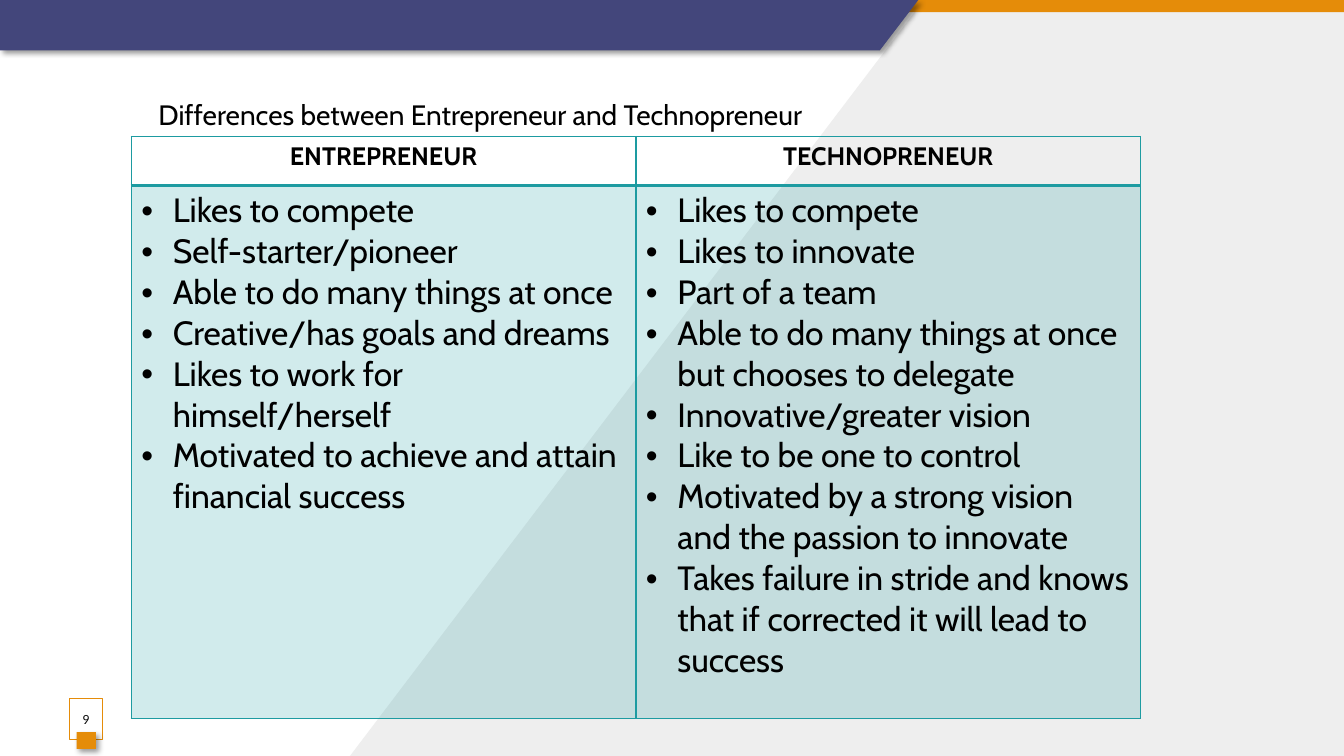
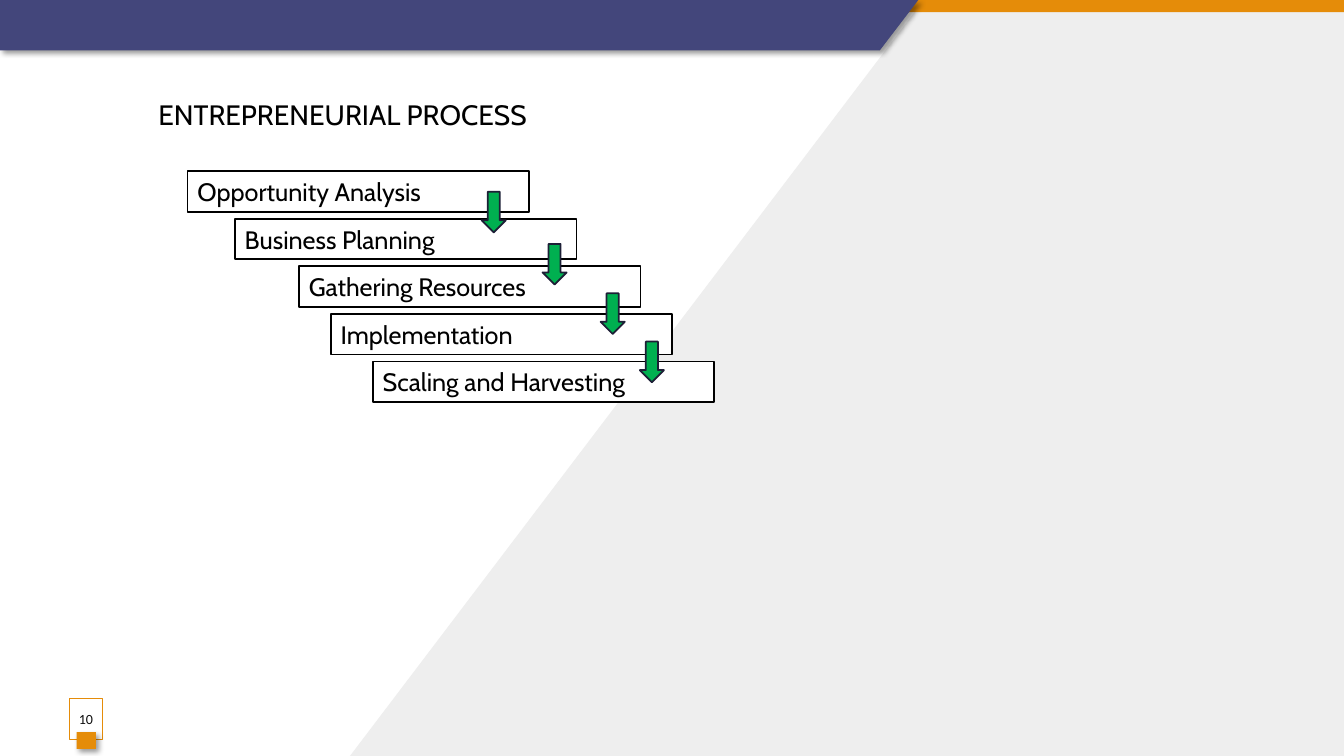
from dataclasses import dataclass

from lxml import etree
from pptx import Presentation
from pptx.dml.color import RGBColor
from pptx.enum.shapes import MSO_SHAPE
from pptx.enum.text import MSO_ANCHOR, PP_ALIGN
from pptx.oxml.ns import qn
from pptx.util import Pt

RECTANGLE, DOWN_ARROW = MSO_SHAPE.RECTANGLE, MSO_SHAPE.DOWN_ARROW
LEFT, CENTER = PP_ALIGN.LEFT, PP_ALIGN.CENTER
MIDDLE = MSO_ANCHOR.MIDDLE


@dataclass(frozen=True)
class Theme:
    white: str = "FFFFFF"
    black: str = "000000"
    panel: str = "EEEEEE"
    accent: str = "E58C09"
    band: str = "43467B"
    teal: str = "1D9BA1"
    arrow: str = "00B050"
    arrow_edge: str = "1D1F36"
    number: str = "0D0D0D"
    font: str = "Cabin"
    number_font: str = "Calibri"
    title_size: float = 20
    label_size: float = 18
    list_size: float = 24
    number_size: float = 10


THEME = Theme()
WIDTH, HEIGHT = 960, 540
PANEL = [(656, 0), (WIDTH, 0), (WIDTH, HEIGHT), (250, HEIGHT), (656, 5)]
BAND = [(0, 0), (656, 0), (628.5, 36), (0, 36)]

COMPARISON_TITLE = "Differences between Entrepreneur and Technopreneur"
COMPARISON = {
    "ENTREPRENEUR": [
        "Likes to compete",
        "Self-starter/pioneer",
        "Able to do many things at once",
        "Creative/has goals and dreams",
        "Likes to work for himself/herself",
        "Motivated to achieve and attain financial success",
    ],
    "TECHNOPRENEUR": [
        "Likes to compete",
        "Likes to innovate",
        "Part of a team",
        "Able to do many things at once but chooses to delegate",
        "Innovative/greater vision",
        "Like to be one to control",
        "Motivated by a strong vision and the passion to innovate",
        "Takes failure in stride and knows that if corrected it will lead to success",
    ],
}
TABLE_LEFT, TABLE_TOP, COLUMN_WIDTH = 93.75, 97.5, 360.5
ROW_HEIGHTS = (35, 381)

PROCESS_TITLE = "ENTREPRENEURIAL PROCESS"
STEPS = [
    ("Opportunity Analysis", 134),
    ("Business Planning", 167.75),
    ("Gathering Resources", 213.5),
    ("Implementation", 236.25),
    ("Scaling and Harvesting", 266.25),
]
STEP_TOP, STEP_PITCH, STEP_SIZE = 122.25, 34, (244, 29)
ARROWS = [(344, 137), (387.5, 174.25), (429, 209.5), (457, 244)]
ARROW_SIZE = (17.25, 29)


def color(value):
    return RGBColor.from_string(value)


def set_alpha(parent, percent):
    value = parent.find(qn("a:solidFill")).find(qn("a:srgbClr"))
    etree.SubElement(value, qn("a:alpha"), val=str(percent * 1000))


def add_shadow(shape):
    effects = shape.element.spPr.find(qn("a:effectLst"))
    outer = etree.SubElement(
        effects, qn("a:outerShdw"), blurRad=str(Pt(4)), dist=str(Pt(3)),
        dir=str(45 * 60000), algn="tl", rotWithShape="0",
    )
    value = etree.SubElement(outer, qn("a:srgbClr"), val=THEME.black)
    etree.SubElement(value, qn("a:alpha"), val="40000")


def paint(shape, fill, line=None, weight=1.25):
    shape.shadow.inherit = False
    shape.fill.solid()
    shape.fill.fore_color.rgb = color(fill)
    if line:
        shape.line.color.rgb = color(line)
        shape.line.width = Pt(weight)
    else:
        shape.line.fill.background()
    return shape


def add_block(slide, kind, place, fill, line=None, weight=1.25):
    shape = slide.shapes.add_shape(kind, *(Pt(value) for value in place))
    return paint(shape, fill, line, weight)


def add_outline(slide, points, fill):
    corners = [(Pt(x), Pt(y)) for x, y in points]
    builder = slide.shapes.build_freeform(*corners[0])
    builder.add_line_segments(corners[1:], close=True)
    return paint(builder.convert_to_shape(), fill)


def write(para, text, size, align=LEFT, bold=False, font=THEME.font, ink=THEME.black):
    para.text = text
    para.alignment = align
    para.font.name = font
    para.font.size = Pt(size)
    para.font.bold = bold
    para.font.color.rgb = color(ink)


def add_bullet(para):
    properties = para._p.get_or_add_pPr()
    properties.set("marL", str(Pt(22.5)))
    properties.set("indent", str(Pt(-22.5)))
    etree.SubElement(properties, qn("a:buFont"), typeface="Arial")
    etree.SubElement(properties, qn("a:buChar"), char="•")


def add_borders(cell, top=1, bottom=1):
    properties = cell._tc.get_or_add_tcPr()
    for side, weight in (("L", 1), ("R", 1), ("T", top), ("B", bottom)):
        line = etree.SubElement(properties, qn(f"a:ln{side}"), w=str(Pt(weight)))
        fill = etree.SubElement(line, qn("a:solidFill"))
        etree.SubElement(fill, qn("a:srgbClr"), val=THEME.teal)


def add_slide(deck, title, number):
    slide = deck.slides.add_slide(deck.slide_layouts[6])
    add_outline(slide, PANEL, THEME.panel)
    add_block(slide, RECTANGLE, (0, 0, WIDTH, 8.75), THEME.accent)
    add_shadow(add_outline(slide, BAND, THEME.band))

    badge = add_block(slide, RECTANGLE, (49.5, 499, 23.75, 29), THEME.white, THEME.accent, 0.75)
    set_alpha(badge.element.spPr, 82)
    frame = badge.text_frame
    frame.margin_left = frame.margin_right = 0
    frame.vertical_anchor = MIDDLE
    write(frame.paragraphs[0], str(number), THEME.number_size, CENTER,
          font=THEME.number_font, ink=THEME.number)
    add_shadow(add_block(slide, RECTANGLE, (54.75, 523, 13.75, 12), THEME.accent))

    box = slide.shapes.add_textbox(Pt(106), Pt(66.25), Pt(680), Pt(31.5))
    box.text_frame.word_wrap = True
    write(box.text_frame.paragraphs[0], title, THEME.title_size)
    return slide


def add_comparison(slide):
    table = slide.shapes.add_table(
        2, len(COMPARISON), Pt(TABLE_LEFT), Pt(TABLE_TOP),
        Pt(COLUMN_WIDTH * len(COMPARISON)), Pt(sum(ROW_HEIGHTS)),
    ).table
    table.first_row = table.horz_banding = False
    for row, height in zip(table.rows, ROW_HEIGHTS):
        row.height = Pt(height)
    for index, (heading, traits) in enumerate(COMPARISON.items()):
        table.columns[index].width = Pt(COLUMN_WIDTH)
        header, body = table.cell(0, index), table.cell(1, index)
        add_borders(header, bottom=2)
        header.fill.background()
        write(header.text_frame.paragraphs[0], heading, THEME.label_size, CENTER, bold=True)

        add_borders(body, top=2)
        body.fill.solid()
        body.fill.fore_color.rgb = color(THEME.teal)
        set_alpha(body._tc.tcPr, 20)
        frame = body.text_frame
        for position, trait in enumerate(traits):
            para = frame.add_paragraph() if position else frame.paragraphs[0]
            add_bullet(para)
            write(para, trait, THEME.list_size)


def add_process(slide):
    for index, (label, left) in enumerate(STEPS):
        place = (left, STEP_TOP + index * STEP_PITCH, *STEP_SIZE)
        step = add_block(slide, RECTANGLE, place, THEME.white, THEME.black)
        step.text_frame.word_wrap = True
        write(step.text_frame.paragraphs[0], label, THEME.label_size)
    for corner in ARROWS:
        add_block(slide, DOWN_ARROW, (*corner, *ARROW_SIZE), THEME.arrow, THEME.arrow_edge)


def main():
    deck = Presentation()
    deck.slide_width, deck.slide_height = Pt(WIDTH), Pt(HEIGHT)
    add_comparison(add_slide(deck, COMPARISON_TITLE, 9))
    add_process(add_slide(deck, PROCESS_TITLE, 10))
    deck.save("out.pptx")


if __name__ == "__main__":
    main()
